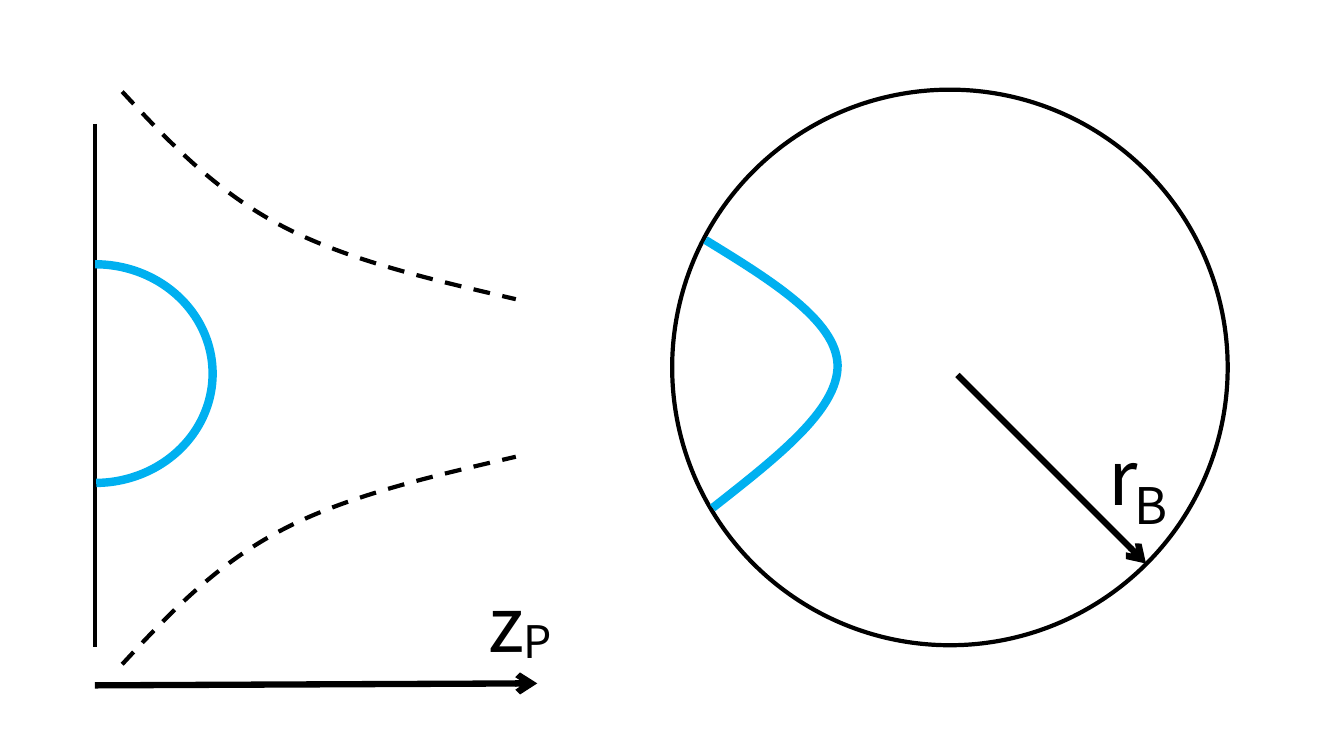
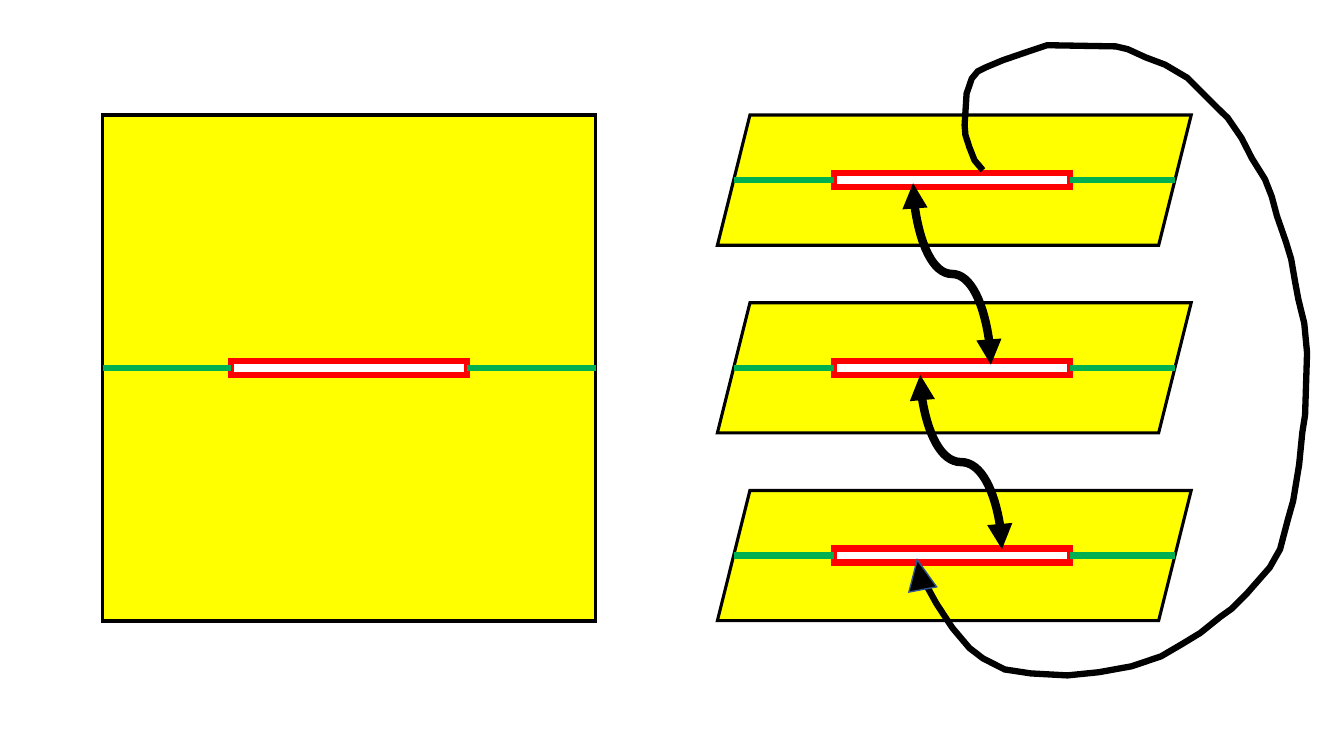
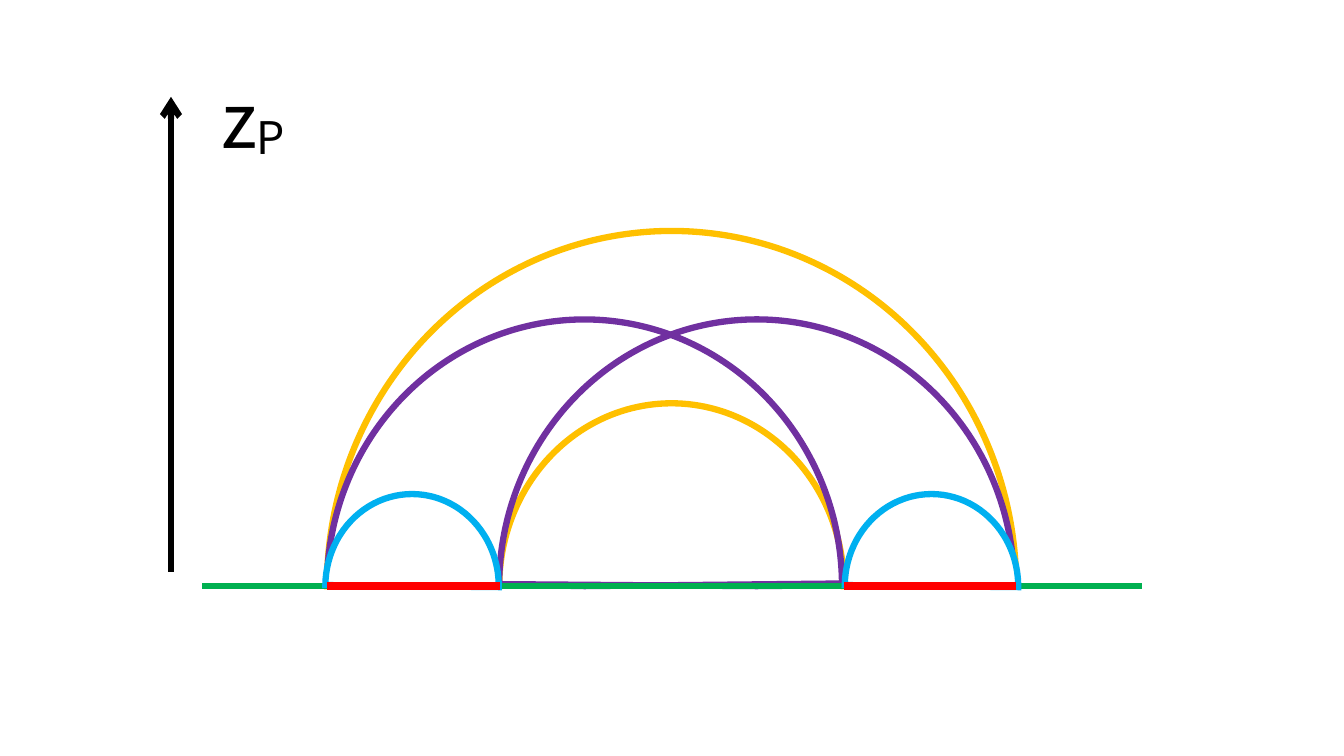
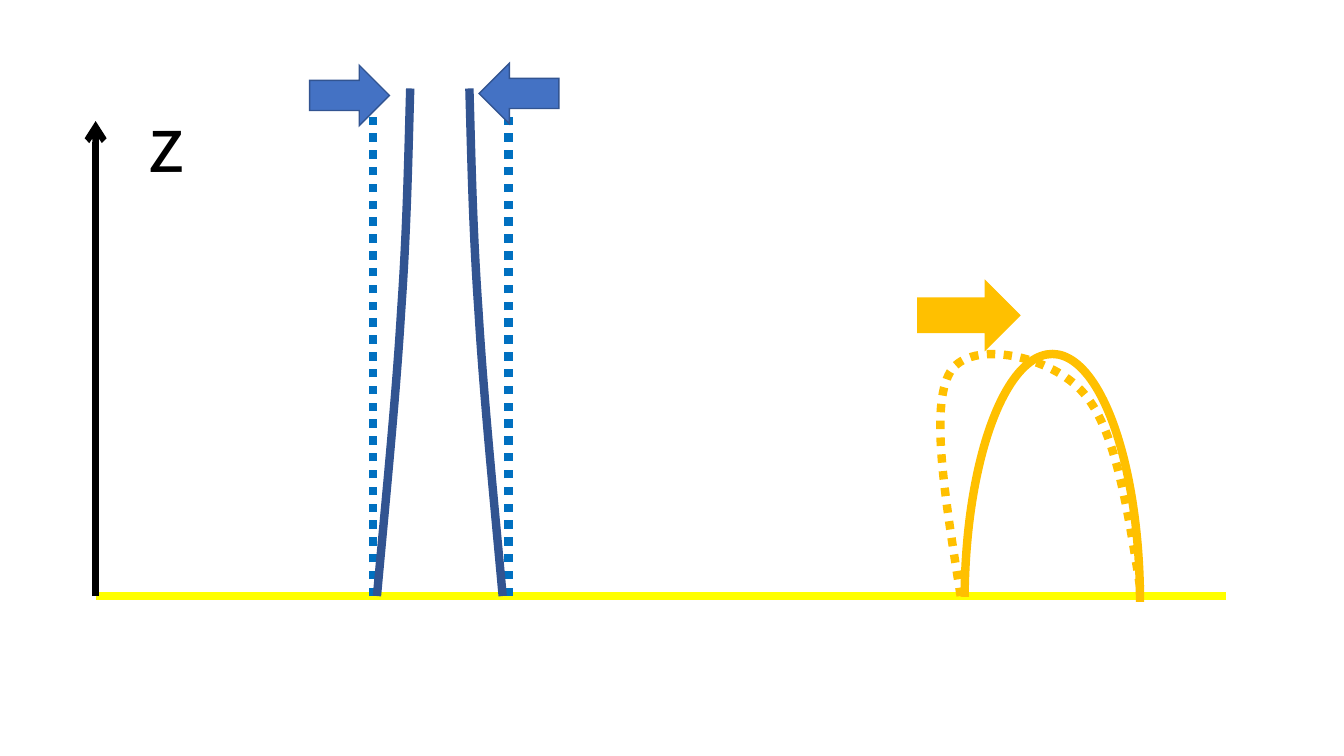
from dataclasses import dataclass
from typing import NamedTuple, Optional

from lxml.etree import SubElement
from pptx import Presentation
from pptx.dml.color import RGBColor
from pptx.enum.dml import MSO_LINE_DASH_STYLE as Dash
from pptx.enum.shapes import MSO_CONNECTOR_TYPE as Conn, MSO_SHAPE as Shp
from pptx.enum.text import MSO_AUTO_SIZE as AutoSize, PP_ALIGN as Align
from pptx.oxml.ns import qn
from pptx.util import Cm, Pt

SLIDE_W, SLIDE_H = 33.87, 19.05
FONT = "Noto Sans CJK JP"
BLACK, WHITE, YELLOW, RED = "000000", "FFFFFF", "FFFF00", "FF0000"
GREEN, CYAN, PURPLE, GOLD = "00B050", "00B0F0", "7030A0", "FFC000"
BLUE, NAVY, SEA = "4472C4", "325491", "0070C0"


class Point(NamedTuple):
    x: float
    y: float


class Box(NamedTuple):
    x: float
    y: float
    w: float
    h: float


@dataclass(frozen=True)
class Pen:
    color: str
    width: float
    dash: Optional[Dash] = None
    head: str = ""
    tail: str = ""


@dataclass(frozen=True)
class Label:
    text: str
    box: Box
    size: int
    rotation: float = 0
    wrap: bool = False


AXIS = Pen(BLACK, 4.5, tail="arrow")
OUTLINE = Pen(BLACK, 3)
EDGE = Pen(BLACK, 2.25)
DASHED = Pen(BLACK, 3, Dash.DASH)
SLIT = Pen(RED, 4.5)
CUT = Pen(GREEN, 4.5)
GLUE = Pen(BLACK, 6, head="triangle", tail="triangle")


def rgb(color: str) -> RGBColor:
    return RGBColor.from_string(color)


def apply_pen(item, pen: Pen) -> None:
    item.line.color.rgb = rgb(pen.color)
    item.line.width = Pt(pen.width)
    if pen.dash is not None:
        item.line.dash_style = pen.dash
    ln = item.element.spPr.find(qn("a:ln"))
    SubElement(ln, qn("a:miter")).set("lim", "800000")
    for tag, kind in (("a:headEnd", pen.head), ("a:tailEnd", pen.tail)):
        if kind:
            SubElement(ln, qn(tag)).set("type", kind)


def style_shape(sp, pen: Pen, fill: str = "") -> None:
    sp.shadow.inherit = False
    if fill:
        sp.fill.solid()
        sp.fill.fore_color.rgb = rgb(fill)
    else:
        sp.fill.background()
    apply_pen(sp, pen)


def add_preset(s, preset: Shp, box: Box, pen: Pen, fill: str = "", adj: tuple = ()):
    sp = s.shapes.add_shape(preset, *map(Cm, box))
    for i, value in enumerate(adj):
        sp.adjustments[i] = value
    style_shape(sp, pen, fill)
    return sp


def add_line(s, start: Point, end: Point, pen: Pen, kind: Conn = Conn.STRAIGHT):
    c = s.shapes.add_connector(kind, *map(Cm, (*start, *end)))
    apply_pen(c, pen)
    SubElement(c.element.spPr, qn("a:effectLst"))
    return c


def add_s_curve(s, start: Point, end: Point, pen: Pen) -> None:
    """Curved connector from lower right up to the left, leaving vertically."""
    mid = Point((start.x + end.x) / 2, (start.y + end.y) / 2)
    half_w, half_h = (start.y - end.y) / 2, (start.x - end.x) / 2
    c = add_line(s, Point(mid.x - half_w, mid.y + half_h),
                 Point(mid.x + half_w, mid.y - half_h), pen, Conn.CURVE)
    c.element.spPr.find(qn("a:xfrm")).set("rot", str(270 * 60000))


def add_freeform(s, points: list, pen: Pen, fill: str = ""):
    first, *rest = [(Cm(x), Cm(y)) for x, y in points]
    builder = s.shapes.build_freeform(*first)
    builder.add_line_segments(rest, close=False)
    sp = builder.convert_to_shape()
    style_shape(sp, pen, fill)
    return sp


def curve_bounds(points: list, steps: int = 50) -> tuple:
    """Top left and bottom right corners of a chain of cubic curves."""
    spots = []
    for i in range(0, len(points) - 1, 3):
        for k in range(steps + 1):
            t = k / steps
            weights = ((1 - t) ** 3, 3 * t * (1 - t) ** 2, 3 * t * t * (1 - t), t ** 3)
            spots.append([sum(w * p[axis] for w, p in zip(weights, points[i:i + 4]))
                          for axis in (0, 1)])
    xs, ys = zip(*spots)
    return Point(min(xs), min(ys)), Point(max(xs), max(ys))


def add_bezier(s, points: list, pen: Pen, fill: str = "") -> None:
    """Chain of cubic curves: a start, then two handles and an end for each."""
    low, high = curve_bounds(points)
    sp = add_freeform(s, [low, high], pen, fill)
    outline = next(sp.element.iter(qn("a:path")))
    for step in list(outline):
        outline.remove(step)
    groups = [points[:1]] + [points[i:i + 3] for i in range(1, len(points), 3)]
    for group in groups:
        step = SubElement(outline, qn("a:moveTo" if len(group) == 1 else "a:cubicBezTo"))
        for x, y in group:
            pt = SubElement(step, qn("a:pt"))
            pt.set("x", str(Cm(x - low.x)))
            pt.set("y", str(Cm(y - low.y)))


def add_label(s, label: Label) -> None:
    tb = s.shapes.add_textbox(*map(Cm, label.box))
    tb.rotation = label.rotation
    tf = tb.text_frame
    tf.word_wrap = label.wrap
    tf.auto_size = AutoSize.SHAPE_TO_FIT_TEXT
    p = tf.paragraphs[0]
    p.alignment = Align.CENTER
    r = p.add_run()
    r.text = label.text
    r.font.name = FONT
    r.font.size = Pt(label.size)
    r.font.color.rgb = rgb(BLACK)


def add_z_label(s, x: float, y: float, subscript: str = "") -> None:
    add_label(s, Label("z", Box(x, y, 1.55, 2.57), 54, -0.2, True))
    if subscript:
        add_label(s, Label(subscript, Box(x + 0.86, y + 0.95, 1.4, 1.63), 32, -0.2, True))


def add_cut_sheet(s, preset: Shp, box: Box, slit_x: float) -> None:
    """Yellow sheet with a slit half way down and green cuts out to its sides."""
    sheet = add_preset(s, preset, box, EDGE, YELLOW)
    w, h = 5.95, 0.36
    y = box.y + box.h / 2
    slit = add_preset(s, Shp.RECTANGLE, Box(slit_x, y - h / 2, w, h), SLIT, WHITE)
    slanted = preset == Shp.PARALLELOGRAM
    inset = box.h / 8 if slanted else 0
    for site, start, end in ((3, slit_x + w, box.x + box.w - inset),
                             (1, slit_x, box.x + inset)):
        cut = add_line(s, Point(start, y), Point(end, y), CUT)
        cut.begin_connect(slit, site)
        if not slanted:
            cut.end_connect(sheet, site)


def draw_geodesics(s) -> None:
    add_line(s, Point(2.39, 3.12), Point(2.39, 16.31), OUTLINE)
    throat = [(3.08, 2.31), (4.24, 3.56), (5.41, 4.8), (7.06, 5.67),
              (8.71, 6.55), (10.85, 7.04), (13, 7.54)]
    add_bezier(s, throat, DASHED, WHITE)
    add_bezier(s, [(x, SLIDE_H - y) for x, y in throat], DASHED)
    add_preset(s, Shp.ARC, Box(-0.56, 6.66, 5.92, 5.51), Pen(CYAN, 6), adj=(162, 53.66))
    add_preset(s, Shp.OVAL, Box(16.94, 2.26, 14, 14), OUTLINE)
    add_bezier(s, [(17.78, 6.05), (19.43, 7.06), (21.08, 8.08), (21.11, 9.2),
                   (21.13, 10.34), (19.53, 11.56), (17.96, 12.8)], Pen(CYAN, 6))
    add_line(s, Point(2.39, 17.27), Point(13.54, 17.22), AXIS)
    add_z_label(s, 11.99, 14.4, "P")
    add_line(s, Point(24.13, 9.45), Point(28.88, 14.2), AXIS)
    add_label(s, Label("r", Box(27.69, 10.72, 1.22, 2.57), 54))
    add_label(s, Label("B", Box(28.3, 11.81, 1.4, 1.8), 36))


def draw_replicas(s) -> None:
    top, pitch = 2.9, 4.73
    add_cut_sheet(s, Shp.RECTANGLE, Box(2.59, top, 12.42, 12.75), 5.82)
    for row in (2, 1, 0):
        add_cut_sheet(s, Shp.PARALLELOGRAM,
                      Box(18.08, top + row * pitch, 11.94, 3.28), 21.01)
    add_s_curve(s, Point(25.25, 13.84), Point(23.19, 9.45), GLUE)
    add_s_curve(s, Point(24.97, 9.19), Point(23.01, 4.62), GLUE)
    loop = [
        (24.77, 4.29), (24.56, 4.04), (24.43, 3.71), (24.33, 3.4), (24.31, 3.15),
        (24.36, 2.36), (24.49, 1.98), (24.64, 1.8), (24.84, 1.7), (25.27, 1.52),
        (25.91, 1.3), (26.39, 1.14), (28.12, 1.17), (28.42, 1.24), (28.88, 1.45),
        (29.36, 1.63), (29.92, 1.96), (30.3, 2.34), (30.68, 2.72), (30.94, 2.97),
        (31.29, 3.48), (31.55, 3.99), (31.88, 4.52), (32.05, 4.95), (32.18, 5.44),
        (32.41, 6.1), (32.54, 6.53), (32.64, 7.11), (32.72, 7.54), (32.87, 8.15),
        (32.94, 8.89), (32.89, 10.46), (32.82, 10.9), (32.74, 11.71), (32.59, 12.62),
        (32.46, 13.08), (32.26, 13.84), (32, 14.3), (31.78, 14.55), (31.42, 14.96),
        (31.04, 15.34), (30.76, 15.54), (30.25, 15.95), (29.79, 16.23), (29.26, 16.54),
        (28.52, 16.79), (27.69, 16.94), (26.9, 17.02), (25.98, 16.97), (25.32, 16.87),
        (24.77, 16.59), (24.43, 16.33), (24, 15.82), (23.6, 15.21), (23.39, 14.83),
        (23.19, 14.33),
    ]
    add_freeform(s, loop, Pen(BLACK, 4.5))
    tip = add_preset(s, Shp.ISOSCELES_TRIANGLE, Box(22.83, 14.1, 0.71, 0.76),
                     Pen(NAVY, 1), BLACK)
    tip.rotation = -10.6


def draw_intervals(s) -> None:
    floor = 14.77
    add_preset(s, Shp.BLOCK_ARC, Box(8.24, 5.82, 17.37, 17.91), Pen(GOLD, 4.5))
    for x, start in ((8.24, 108.65), (12.58, 108.26)):
        add_preset(s, Shp.PIE, Box(x, 8.05, 12.98, 13.44), Pen(PURPLE, 4.5),
                   adj=(start, 215.65))
    add_line(s, Point(5.1, floor), Point(28.78, floor), CUT)
    for pie_x, line_x in ((8.2, 8.24), (21.29, 21.26)):
        add_preset(s, Shp.PIE, Box(pie_x, 12.45, 4.37, 4.65), Pen(CYAN, 4.5), WHITE,
                   (108.5, 0.32))
        add_line(s, Point(line_x, floor), Point(line_x + 4.35, floor), Pen(RED, 6))
    add_line(s, Point(4.31, 14.41), Point(4.31, 2.44), AXIS)
    add_z_label(s, 5.26, 1.7, "P")


def draw_deformations(s) -> None:
    floor, top, mirror = 15.02, 2.23, 22.17
    add_line(s, Point(2.41, floor), Point(30.89, floor), Pen(YELLOW, 6))
    for x in (9.4, 12.81):
        add_line(s, Point(x, floor), Point(x, top), Pen(SEA, 6, Dash.ROUND_DOT))
    bent = [(9.5, floor), (9.73, 12.5), (9.98, 9.98), (10.11, 7.85),
            (10.26, 5.72), (10.29, 3.96), (10.34, top)]
    add_bezier(s, bent, Pen(NAVY, 6))
    add_bezier(s, [(mirror - x, y) for x, y in bent], Pen(NAVY, 6))
    for x, y, rotation in ((8.05, 1.4, 270), (12.32, 1.35, 90)):
        push = add_preset(s, Shp.DOWN_ARROW, Box(x, y, 1.52, 2.01), Pen(NAVY, 1), BLUE)
        push.rotation = rotation
    add_bezier(s, [(24.21, floor), (23.83, 12.62), (23.42, 10.24), (23.95, 9.37),
                   (24.46, 8.53), (26.52, 8.97), (27.31, 9.91),
                   (28.12, 10.82), (28.42, 12.85), (28.75, 14.91)],
               Pen(GOLD, 6, Dash.ROUND_DOT))
    add_preset(s, Shp.ARC, Box(24.31, 8.92, 4.42, 12.5), Pen(GOLD, 6), adj=(110.03, 0))
    add_preset(s, Shp.RIGHT_ARROW, Box(23.13, 7.08, 2.57, 1.73), Pen(GOLD, 1), GOLD)
    add_line(s, Point(2.41, floor), Point(2.41, 3.05), AXIS)
    add_z_label(s, 3.41, 2.31)


def main() -> None:
    prs = Presentation()
    prs.slide_width, prs.slide_height = Cm(SLIDE_W), Cm(SLIDE_H)
    for draw in (draw_geodesics, draw_replicas, draw_intervals, draw_deformations):
        draw(prs.slides.add_slide(prs.slide_layouts[6]))
    prs.save("out.pptx")


if __name__ == "__main__":
    main()
